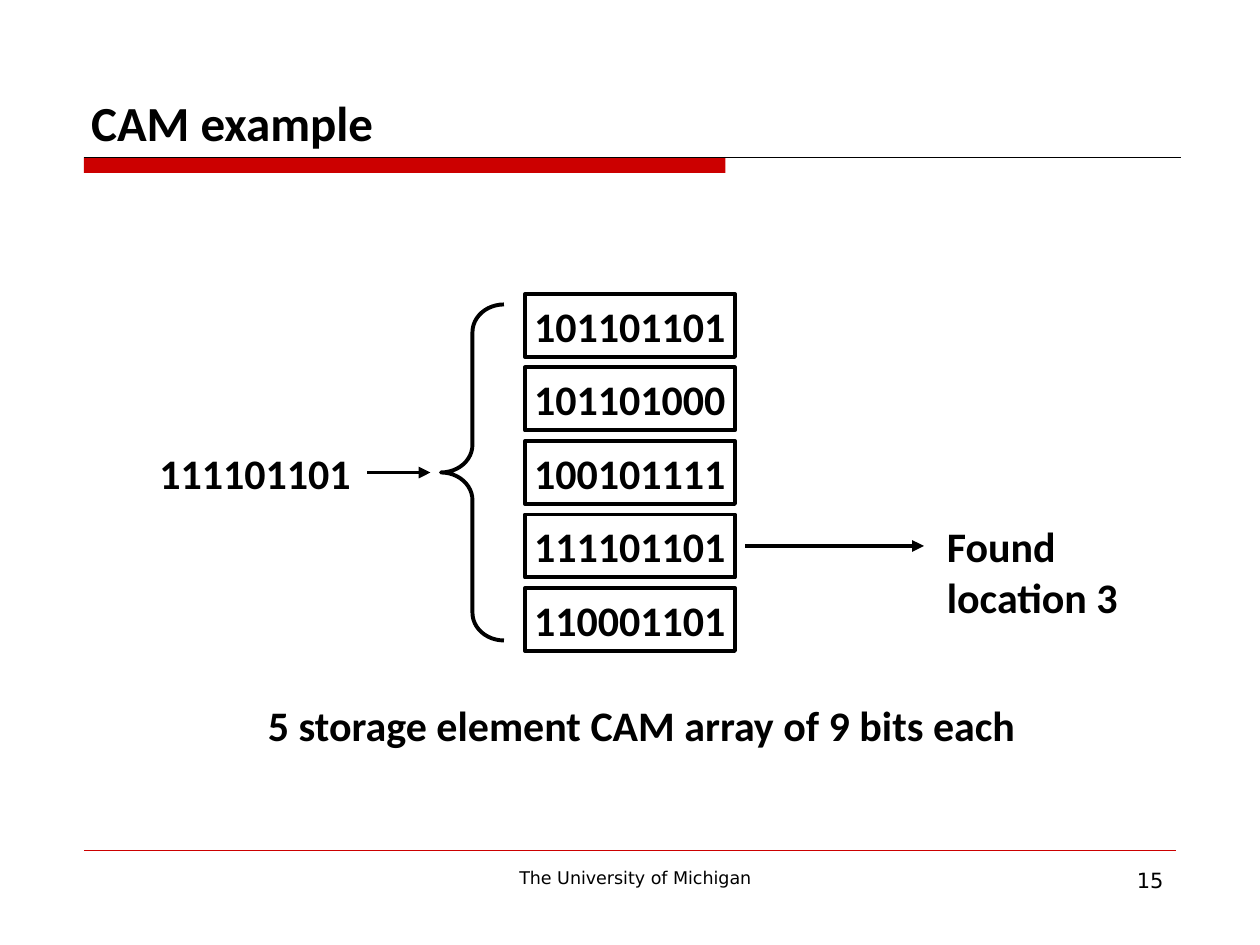
import pptx
import pptx.dml.color
import pptx.enum.shapes
import pptx.enum.text
import pptx.oxml
import pptx.util
from pptx.util import Pt

BLACK = pptx.dml.color.RGBColor(0, 0, 0)
RED = pptx.dml.color.RGBColor(0xCC, 0, 0)
SHAPE = pptx.enum.shapes.MSO_SHAPE
ALIGN = pptx.enum.text.PP_ALIGN
ANCHOR = pptx.enum.text.MSO_ANCHOR


def write(box, text, size=24, font="Calibri", bold=True, align=ALIGN.LEFT,
          anchor=ANCHOR.TOP, wrap=False):
    frame = box.text_frame
    frame.word_wrap = wrap
    frame.vertical_anchor = anchor
    para = frame.paragraphs[0]
    para.text = text
    para.alignment = align
    for span in para.runs:
        span.font.size = Pt(size)
        span.font.name = font
        span.font.bold = bold
        span.font.color.rgb = BLACK


def draw_line(x1, x2, y, color=BLACK, width=2.25, arrow=False):
    """Draw a horizontal line, with an arrowhead at x2 if asked."""
    line = page.shapes.add_connector(
        pptx.enum.shapes.MSO_CONNECTOR.STRAIGHT, Pt(x1), Pt(y), Pt(x2), Pt(y))
    line.line.color.rgb = color
    line.line.width = Pt(width)
    if arrow:
        tail = pptx.oxml.parse_xml(
            '<a:tailEnd xmlns:a="http://schemas.openxmlformats.org/drawingml/2006/main"'
            ' type="triangle"/>')
        line.line._get_or_add_ln().append(tail)
    properties = line._element.spPr
    properties.append(properties.makeelement(pptx.oxml.ns.qn("a:effectLst"), {}))


deck = pptx.Presentation()
deck.slide_width = Pt(720)
deck.slide_height = Pt(540)
page = deck.slides.add_slide(deck.slide_layouts[6])

# Title rule and footer rule
bar = page.shapes.add_shape(SHAPE.RECTANGLE, Pt(48), Pt(90), Pt(366.5), Pt(8.8))
bar.shadow.inherit = False
bar.fill.solid()
bar.fill.fore_color.rgb = RED
bar.line.fill.background()
draw_line(48, 674.6, 90, width=0.5)
draw_line(48, 672, 486, color=RED, width=0.25)

# Title, footer and slide number
title = page.shapes.add_textbox(Pt(45), Pt(24), Pt(630), Pt(66))
write(title, "CAM example", size=28, anchor=ANCHOR.BOTTOM, wrap=True)
footer = page.shapes.add_textbox(Pt(228), Pt(492), Pt(270), Pt(19.4))
write(footer, "The University of Michigan", size=10, font="DejaVu Sans",
      bold=False, align=ALIGN.CENTER, wrap=True)
number = page.shapes.add_textbox(Pt(552), Pt(492), Pt(120), Pt(37.4))
write(number, "15", size=12, font="DejaVu Sans", bold=False,
      align=ALIGN.RIGHT, wrap=True)

# Stored words
for row, word in enumerate(
        ["101101101", "101101000", "100101111", "111101101", "110001101"]):
    cell = page.shapes.add_shape(
        SHAPE.RECTANGLE, Pt(300), Pt(168 + 42 * row), Pt(120), Pt(36))
    cell.shadow.inherit = False
    cell.fill.background()
    cell.line.color.rgb = BLACK
    cell.line.width = Pt(2.25)
    write(cell, word, align=ALIGN.CENTER, anchor=ANCHOR.MIDDLE)

brace = page.shapes.add_shape(SHAPE.LEFT_BRACE, Pt(252), Pt(174), Pt(36), Pt(192))
brace.shadow.inherit = False
brace.adjustments[0] = 0.44
brace.fill.background()
brace.line.color.rgb = BLACK
brace.line.width = Pt(2.25)

# Search word, result and caption
for text, left, top, width, height in [
        ("111101101", 84, 252, 124.5, 36.7),
        ("Found\nlocation 3", 534, 294, 113, 65.5),
        ("5 storage element CAM array of 9 bits each", 146, 396, 446, 36.7)]:
    label = page.shapes.add_textbox(Pt(left), Pt(top), Pt(width), Pt(height))
    write(label, text)

draw_line(210, 246, 270, arrow=True)
draw_line(426, 528, 312, arrow=True)

deck.save("out.pptx")
